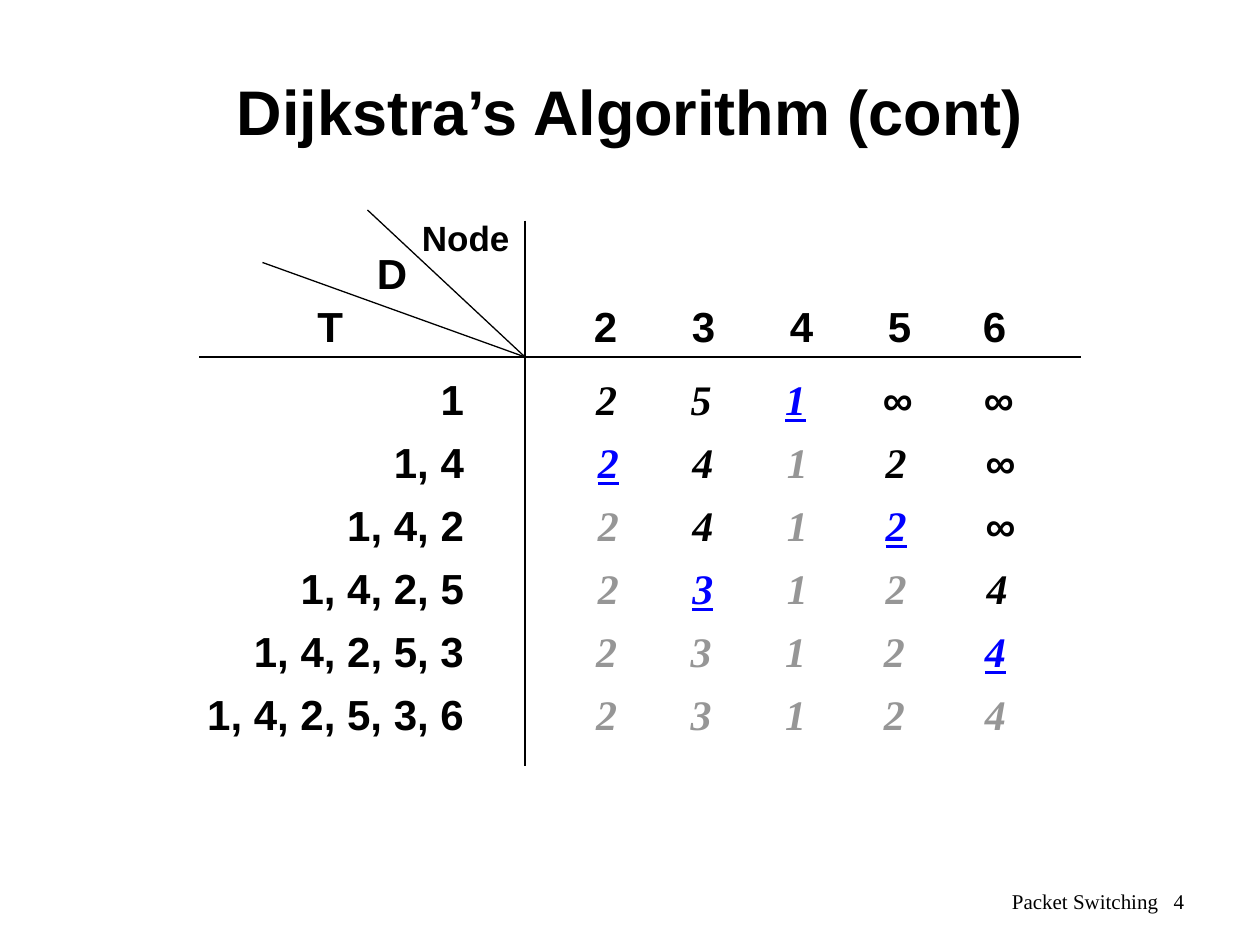
from pptx import Presentation
from pptx.dml.color import RGBColor
from pptx.enum.shapes import MSO_CONNECTOR
from pptx.enum.text import MSO_ANCHOR, MSO_AUTO_SIZE, PP_ALIGN
from pptx.oxml.ns import qn
from pptx.util import Pt
from lxml import etree

LEFT, CENTER, RIGHT = PP_ALIGN.LEFT, PP_ALIGN.CENTER, PP_ALIGN.RIGHT
TOP, MIDDLE = MSO_ANCHOR.TOP, MSO_ANCHOR.MIDDLE
FIT, FIXED = MSO_AUTO_SIZE.SHAPE_TO_FIT_TEXT, MSO_AUTO_SIZE.NONE
STRAIGHT = MSO_CONNECTOR.STRAIGHT

SANS, SERIF = "Arial", "Times New Roman"
BLACK, BLUE, GRAY = "000000", "0000FF", "969696"

NODES = ["2", "3", "4", "5", "6"]
ORDER = ["1", "4", "2", "5", "3", "6"]  # order in which nodes join T
COSTS = ["251∞∞", "2412∞", "2412∞", "23124", "23124", "23124"]
HEADS = [218.25, 274.25, 330.25, 386.25, 440.5]
SPOTS = [219.5, 273.5, 327.5, 384, 441.75]
ROW = 36


def paint(color, value):
    color.rgb = RGBColor.from_string(value)


def add_text(slide, box, text, size=24, face=SANS, color=BLACK, bold=True,
             italic=False, under=False, align=LEFT, anchor=TOP, wrap=False):
    shape = slide.shapes.add_textbox(*[Pt(n) for n in box])
    frame = shape.text_frame
    frame.word_wrap = wrap
    frame.auto_size = FIXED if wrap else FIT
    frame.vertical_anchor = anchor
    frame.text = text
    para = frame.paragraphs[0]
    para.alignment = align
    font = para.runs[0].font
    font.name, font.size = face, Pt(size)
    font.bold, font.italic, font.underline = bold, italic, under
    paint(font.color, color)


def add_line(slide, start, end, width):
    line = slide.shapes.add_connector(STRAIGHT, *[Pt(n) for n in start + end])
    line.line.width = Pt(width)
    paint(line.line.color, BLACK)
    etree.SubElement(line._element.spPr, qn("a:effectLst"))


def draw_rules(slide, box):
    """Draw the table's cross and the two slanted lines of its corner."""
    left, top, width, height = box
    hub = (left + 186, top + 84)
    add_line(slide, (left, hub[1]), (left + width, hub[1]), 1.5)
    add_line(slide, (hub[0], top + 6), (hub[0], top + height), 1.5)
    add_line(slide, hub, (left + 96, top), 0.75)
    add_line(slide, hub, (left + 36, top + 30), 0.75)


def draw_head(slide, box):
    left, top, _, _ = box
    add_text(slide, (left + 60.25, top + 48, 29, ROW), "T")
    add_text(slide, (left + 94.25, top + 18, 32, ROW), "D")
    add_text(slide, (left + 120, top, 66, 32), "Node", size=20)
    for node, spot in zip(NODES, HEADS):
        add_text(slide, (left + spot, top + 48, 28, ROW), node)


def draw_row(slide, box, index):
    """Draw the set T, then each cost: blue joins next, gray is settled."""
    left, top, _, height = box
    known = ORDER[:index + 1]
    chosen = ORDER[index + 1:index + 2]
    width = 30 + 26.75 * index
    add_text(slide, (left + 158.25 - width, top, width, height),
             ", ".join(known), align=RIGHT)
    shift = 1 if index in (1, 2, 3) else 0
    for node, cost, spot in zip(NODES, COSTS[index], SPOTS):
        pick = node in chosen
        color = BLUE if pick else GRAY if node in known else BLACK
        far = cost == "∞"
        x = left + spot + shift - (0.75 if far else 0)
        add_text(slide, (x, top, 33 if far else 26, height),
                 cost, face=SANS if far else SERIF, color=color,
                 italic=True, under=pick)


def draw_table(slide, box):
    left, top, width, _ = box
    draw_rules(slide, box)
    draw_head(slide, box)
    for i in range(len(COSTS)):
        draw_row(slide, (left, top + 90 + ROW * i, width, ROW), i)


def main():
    deck = Presentation()
    deck.slide_width, deck.slide_height = Pt(720), Pt(540)
    slide = deck.slides.add_slide(deck.slide_layouts[6])
    add_text(slide, (54, 18, 612, 90), "Dijkstra’s Algorithm (cont)", size=36,
             align=CENTER, anchor=MIDDLE, wrap=True)
    draw_table(slide, (114, 120, 504, 318))
    add_text(slide, (516, 500.5, 168, 29), "Packet Switching   4", size=12,
             face=SERIF, bold=False, align=RIGHT, anchor=MIDDLE, wrap=True)
    deck.save("out.pptx")


if __name__ == "__main__":
    main()
